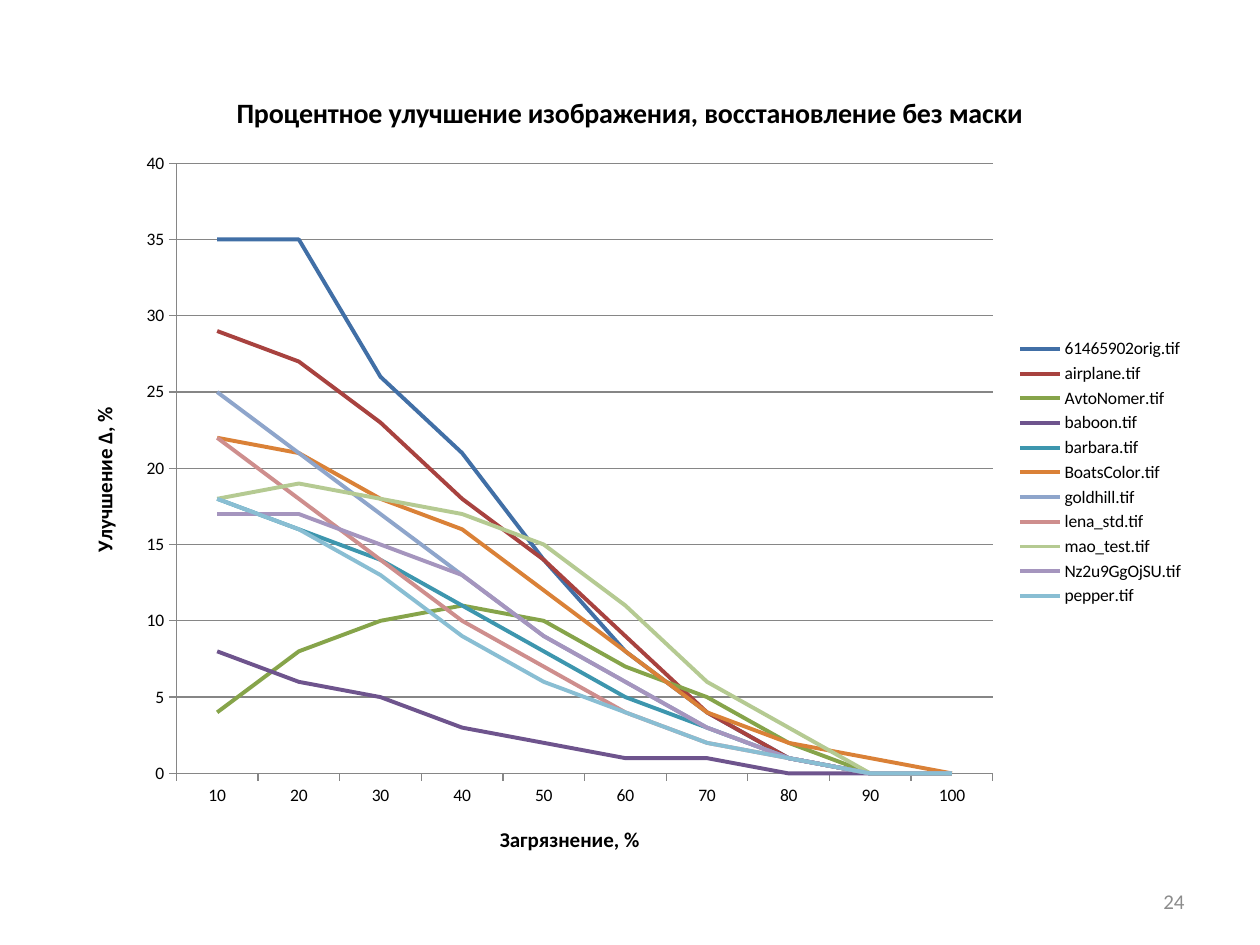
import pptx
import pptx.chart.data
import pptx.dml.color
import pptx.enum.chart
import pptx.enum.text
import pptx.oxml
import pptx.util
from dataclasses import dataclass

Pt = pptx.util.Pt
RGB = pptx.dml.color.RGBColor.from_string


@dataclass(frozen=True)
class Theme:
    font: str = "Calibri"
    text: str = "000000"
    axis: str = "868686"
    number: str = "8C8C8C"
    label_size: int = 10
    axis_title_size: int = 12
    title_size: int = 16  # largest whole size that is sure to stay on one line
    number_size: int = 12


theme = Theme()

categories = [str(n) for n in range(10, 101, 10)]
series_rows = [
    ("61465902orig.tif", "416FA6", [35, 35, 26, 21, 14, 8, 4, 1, 0, 0]),
    ("airplane.tif", "A8423F", [29, 27, 23, 18, 14, 9, 4, 1, 0, 0]),
    ("AvtoNomer.tif", "86A44A", [4, 8, 10, 11, 10, 7, 5, 2, 0, 0]),
    ("baboon.tif", "6E548D", [8, 6, 5, 3, 2, 1, 1, 0, 0, 0]),
    ("barbara.tif", "3D96AE", [18, 16, 14, 11, 8, 5, 3, 1, 0, 0]),
    ("BoatsColor.tif", "DA8137", [22, 21, 18, 16, 12, 8, 4, 2, 1, 0]),
    ("goldhill.tif", "8EA5CB", [25, 21, 17, 13, 9, 6, 3, 1, 0, 0]),
    ("lena_std.tif", "CE8E8D", [22, 18, 14, 10, 7, 4, 2, 1, 0, 0]),
    ("mao_test.tif", "B5CA92", [18, 19, 18, 17, 15, 11, 6, 3, 0, 0]),
    ("Nz2u9GgOjSU.tif", "A595BE", [17, 17, 15, 13, 9, 6, 3, 1, 0, 0]),
    ("pepper.tif", "89BED3", [18, 16, 13, 9, 6, 4, 2, 1, 0, 0]),
]


def add_run(p, text, size, color, bold=False):
    r = p.add_run()
    r.text = text
    r.font.name = theme.font
    r.font.size = Pt(size)
    r.font.bold = bold
    r.font.color.rgb = RGB(color)


prs = pptx.Presentation()
prs.slide_width, prs.slide_height = Pt(720), Pt(540)
s = prs.slides.add_slide(prs.slide_layouts[6])

# Line chart
data = pptx.chart.data.CategoryChartData()
data.categories = categories
for name, color, values in series_rows:
    data.add_series(name, values)
chart = s.shapes.add_chart(
    pptx.enum.chart.XL_CHART_TYPE.LINE, Pt(36), Pt(37.5), Pt(648), Pt(465), data
).chart
chart.font.name = theme.font
chart.font.size = Pt(theme.label_size)
chart.font.color.rgb = RGB(theme.text)

for line, (name, color, values) in zip(chart.plots[0].series, series_rows):
    line.smooth = False
    line.format.line.width = Pt(2.25)
    line.format.line.color.rgb = RGB(color)
chart.plots[0].vary_by_categories = False

# Titles, axes and legend
chart.has_title = True
add_run(chart.chart_title.text_frame.paragraphs[0],
        "Процентное улучшение изображения, восстановление без маски",
        theme.title_size, theme.text, bold=True)

for axis, title in ((chart.category_axis, "Загрязнение, %"),
                    (chart.value_axis, "Улучшение Δ, %")):
    add_run(axis.axis_title.text_frame.paragraphs[0], title,
            theme.axis_title_size, theme.text, bold=True)
    axis.major_tick_mark = pptx.enum.chart.XL_TICK_MARK.OUTSIDE
    axis.format.line.color.rgb = RGB(theme.axis)
    axis.format.line.width = Pt(0.75)

value_axis = chart.value_axis
value_axis.minimum_scale, value_axis.maximum_scale = 0, 40
value_axis.major_unit = 5
value_axis.has_major_gridlines = True
value_axis.major_gridlines.format.line.color.rgb = RGB(theme.axis)
value_axis.major_gridlines.format.line.width = Pt(0.75)

chart.has_legend = True
chart.legend.position = pptx.enum.chart.XL_LEGEND_POSITION.RIGHT
chart.legend.include_in_layout = False

# Fixed inner plot area, as fractions of the chart
plot_area = chart.plots[0]._element.getparent()
for old in plot_area.xpath("c:layout"):
    plot_area.remove(old)
fractions = "".join(f'<c:{tag} val="{value}"/>' for tag, value in
                    (("x", 0.1), ("y", 0.12), ("w", 0.72), ("h", 0.75)))
plot_area.insert(0, pptx.oxml.parse_xml(
    '<c:layout xmlns:c="http://schemas.openxmlformats.org/drawingml/2006/chart">'
    '<c:manualLayout><c:layoutTarget val="inner"/>'
    '<c:xMode val="edge"/><c:yMode val="edge"/>'
    f'{fractions}</c:manualLayout></c:layout>'))

# Slide number
tf = s.shapes.add_textbox(Pt(516), Pt(500.5), Pt(168), Pt(28.75)).text_frame
tf.word_wrap = True
tf.vertical_anchor = pptx.enum.text.MSO_ANCHOR.MIDDLE
p = tf.paragraphs[0]
p.alignment = pptx.enum.text.PP_ALIGN.RIGHT
add_run(p, "24", theme.number_size, theme.number)

prs.save("out.pptx")
